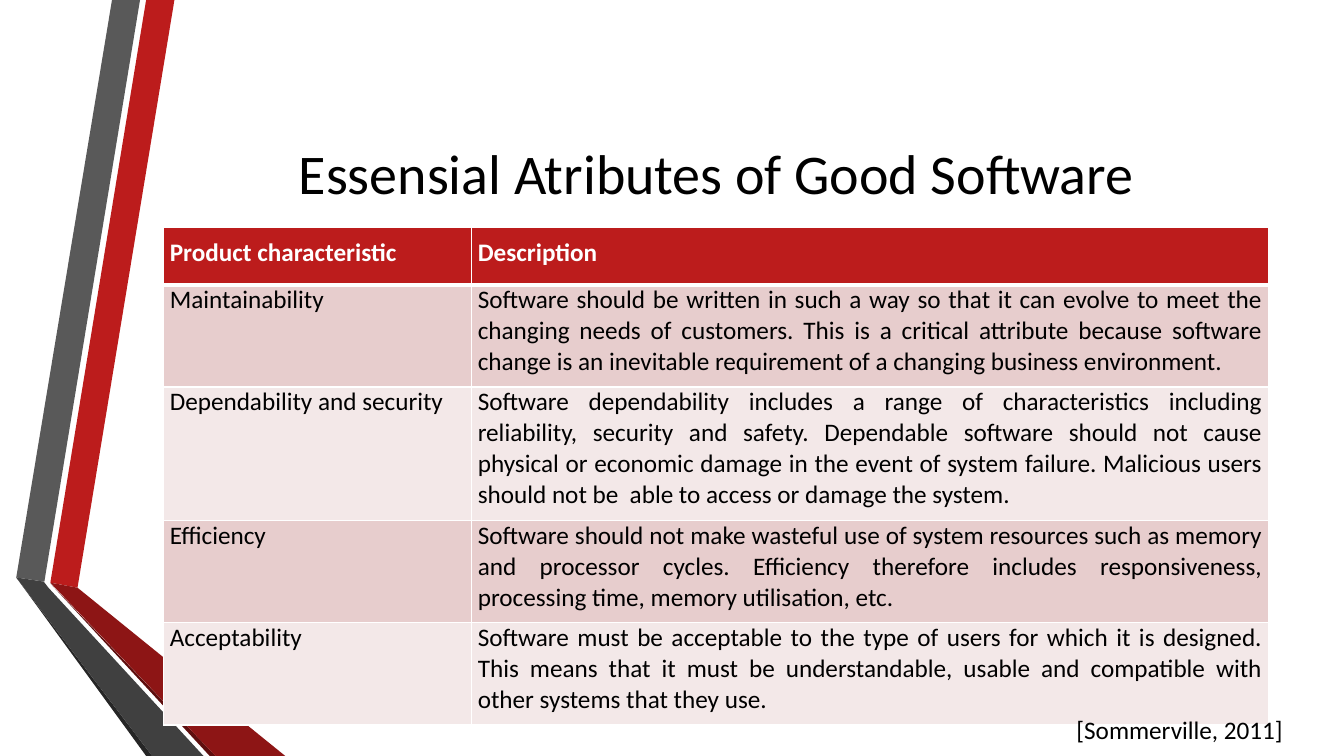
from lxml.etree import SubElement
from pptx import Presentation
from pptx.dml.color import RGBColor
from pptx.enum.text import MSO_ANCHOR, PP_ALIGN
from pptx.oxml.ns import qn
from pptx.util import Pt

COLORS = {
    "red": "BC1C1C", "gray": "595959", "black": "000000", "white": "FFFFFF",
    "gray_edge": "262626", "red_edge": "5E0E0E", "red_fold": "8D1515",
    "gray_fold": "404040", "band_dark": "E7CDCD", "band_light": "F3E8E8",
}


def write(tf, text, size, color, align, bold=False):
    p = tf.paragraphs[0]
    p.alignment = align
    r = p.add_run()
    r.text = text
    for name, value in {"name": "Calibri", "size": Pt(size), "bold": bold}.items():
        setattr(r.font, name, value)
    r.font.color.rgb = RGBColor.from_string(COLORS[color])


def set_borders(cell, widths):
    tcPr = cell._tc.get_or_add_tcPr()
    for i, (side, width) in enumerate(widths.items()):
        ln = SubElement(tcPr, qn(f"a:ln{side}"), w=str(Pt(width)))
        fill = SubElement(ln, qn("a:solidFill"))
        SubElement(fill, qn("a:srgbClr"), val=COLORS["white"])
        tcPr.remove(ln)
        tcPr.insert(i, ln)


prs = Presentation()
prs.slide_width, prs.slide_height = Pt(960), Pt(540)
s = prs.slides.add_slide(prs.slide_layouts[6])

ribbons = [
    ("red", [(36, 416.2), (55.4, 419.8), (124.6, 0), (104.4, 0)]),
    ("gray", [(100, 0), (80, 0), (11.6, 412.5), (31.7, 415.5)]),
    ("gray_edge", [(11.6, 412.5), (104.4, 540), (108.7, 540)]),
    ("red_edge", [(36, 416.8), (149.8, 540), (154, 540)]),
    ("red_fold", [(36, 416.2), (154, 540), (203.8, 540), (55.4, 419.8)]),
    ("gray_fold", [(145.4, 540), (34.6, 419.8), (31.3, 415.5), (11.6, 412.5), (108.7, 540)]),
]
for color, points in ribbons:
    points = [(Pt(x), Pt(y)) for x, y in points]
    fb = s.shapes.build_freeform(*points[0])
    fb.add_line_segments(points[1:], close=True)
    sp = fb.convert_to_shape()
    sp.shadow.inherit = False
    sp.fill.solid()
    sp.fill.fore_color.rgb = RGBColor.from_string(COLORS[color])
    sp.line.fill.background()

sp = s.shapes.add_textbox(Pt(117), Pt(54), Pt(789), Pt(138))
tf = sp.text_frame
tf.word_wrap = True
tf.vertical_anchor = MSO_ANCHOR.MIDDLE
write(tf, "Essensial Atributes of Good Software", 40, "black", PP_ALIGN.CENTER)

rows = [
    ("Product characteristic", "Description"),
    ("Maintainability", "Software should be written in such a way so that it can evolve to meet the changing needs of customers. This is a critical attribute because software change is an inevitable requirement of a changing business environment."),
    ("Dependability and security", "Software dependability includes a range of characteristics including reliability, security and safety. Dependable software should not cause physical or economic damage in the event of system failure. Malicious users should not be  able to access or damage the system."),
    ("Efficiency", "Software should not make wasteful use of system resources such as memory and processor cycles. Efficiency therefore includes responsiveness, processing time, memory utilisation, etc."),
    ("Acceptability", "Software must be acceptable to the type of users for which it is designed. This means that it must be understandable, usable and compatible with other systems that they use."),
]
heights = [40.7, 73, 95.5, 73, 73]
table = s.shapes.add_table(5, 2, Pt(117), Pt(162.7), Pt(789), Pt(sum(heights))).table
for col, width in zip(table.columns, [220, 569]):
    col.width = Pt(width)

for i, (texts, height) in enumerate(zip(rows, heights)):
    table.rows[i].height = Pt(height)
    header = i == 0
    band = "red" if header else "band_dark" if i % 2 else "band_light"
    for j, text in enumerate(texts):
        cell = table.cell(i, j)
        margins = {"left": 4.3, "top": 7.2 if header else 0, "right": 4.3, "bottom": 7.2}
        for side, value in margins.items():
            setattr(cell, f"margin_{side}", Pt(value))
        cell.fill.solid()
        cell.fill.fore_color.rgb = RGBColor.from_string(COLORS[band])
        set_borders(cell, {"L": 1, "R": 1, "T": 3 if i == 1 else 1, "B": 3 if header else 1})
        align = PP_ALIGN.LEFT if (i, j) == (2, 0) else PP_ALIGN.JUSTIFY
        write(cell.text_frame, text, 18, "white" if header else "black", align, header)

sp = s.shapes.add_textbox(Pt(761.8), Pt(507), Pt(165), Pt(29))
sp.text_frame.word_wrap = False
write(sp.text_frame, "[Sommerville, 2011]", 18, "black", PP_ALIGN.LEFT)

prs.save("out.pptx")
